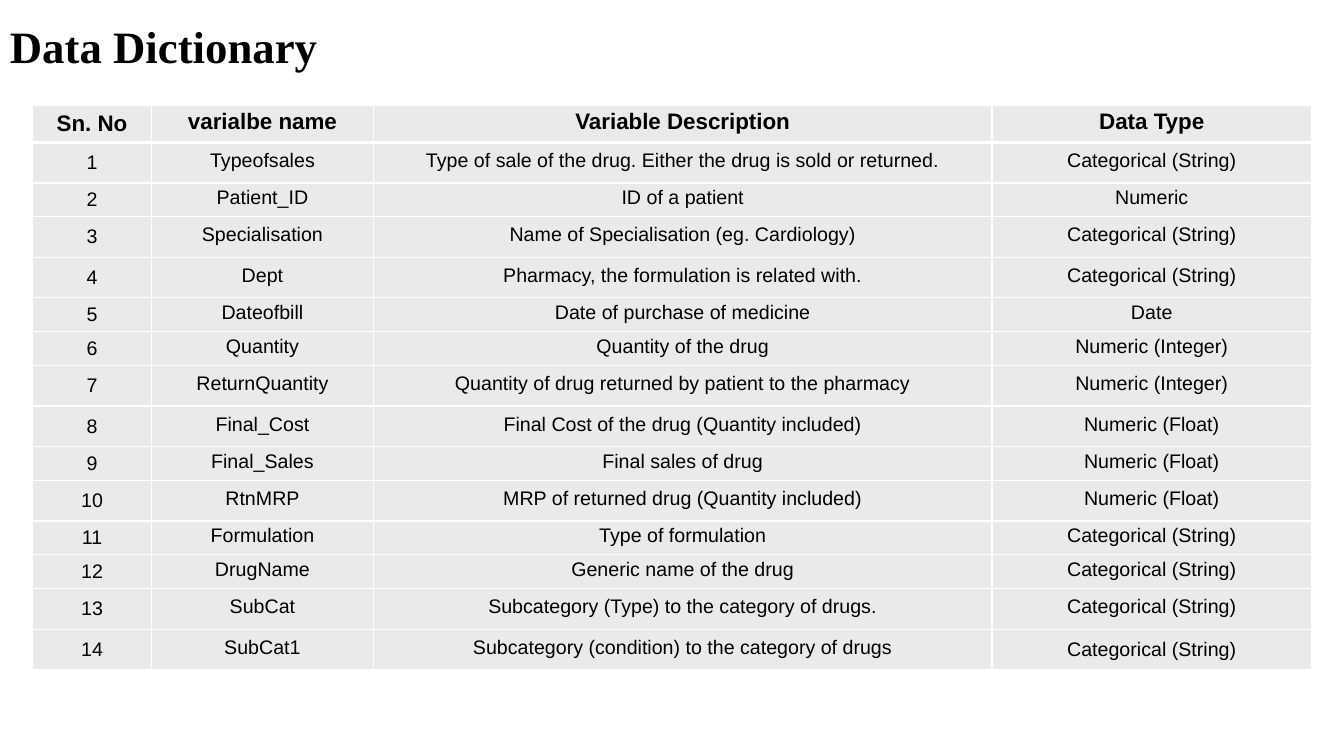
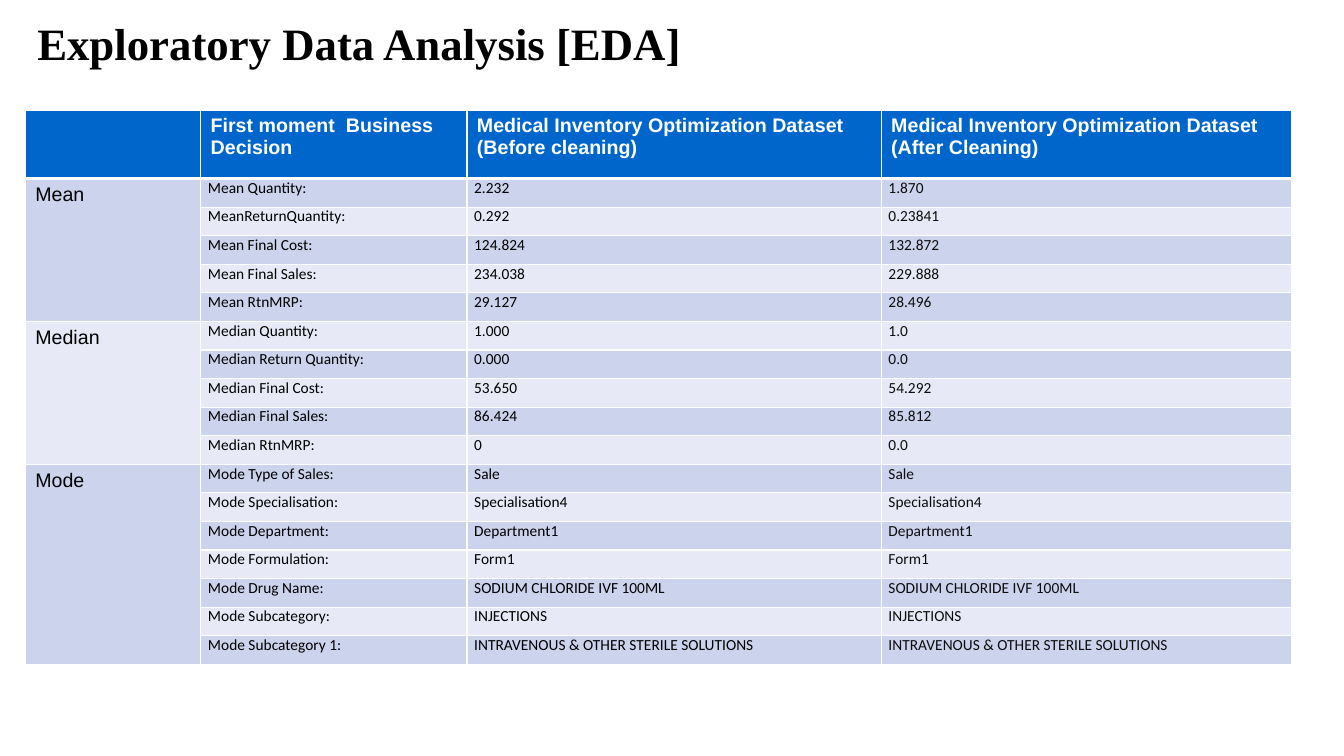
from dataclasses import dataclass, replace

from lxml import etree
from pptx import Presentation
from pptx import util as u
from pptx.dml import color
from pptx.enum import text
from pptx.oxml import ns


@dataclass(frozen=True)
class Theme:
    ink: str = "000000"
    soft_ink: str = "0D0D0D"
    white: str = "FFFFFF"
    grey: str = "EAEAEA"
    blue: str = "0066CC"
    bands: tuple = ("CCD3EC", "E7EAF6")
    title_font: str = "Times New Roman"
    table_font: str = "Arial"
    value_font: str = "Calibri"
    title_size: int = 32
    heading_size: int = 16
    body_size: int = 14
    value_size: int = 11
    thin: int = 1
    thick: int = 3


THEME = Theme()


@dataclass(frozen=True)
class Look:
    fill: str
    ink: str = THEME.ink
    font: str = THEME.table_font
    size: int = THEME.body_size
    bold: bool = False
    align: text.PP_ALIGN = text.PP_ALIGN.LEFT
    anchor: text.MSO_ANCHOR = text.MSO_ANCHOR.TOP
    margins: tuple = (0.25, 0.13, 0.25, 0.13)


DICTIONARY_HEAD = ("Sn. No", "varialbe name", "Variable Description", "Data Type")
TEXT_TYPE = "Categorical (String)"
WHOLE_TYPE = "Numeric (Integer)"
DECIMAL_TYPE = "Numeric (Float)"
SHORT, TALL = 0.84, 1.02
VARIABLES = (
    (TALL, "Typeofsales", "Type of sale of the drug. Either the drug is sold or returned.", TEXT_TYPE),
    (SHORT, "Patient_ID", "ID of a patient", "Numeric"),
    (TALL, "Specialisation", "Name of Specialisation (eg. Cardiology)", TEXT_TYPE),
    (TALL, "Dept", "Pharmacy, the formulation is related with.", TEXT_TYPE),
    (SHORT, "Dateofbill", "Date of purchase of medicine", "Date"),
    (SHORT, "Quantity", "Quantity of the drug", WHOLE_TYPE),
    (TALL, "ReturnQuantity", "Quantity of drug returned by patient to the pharmacy", WHOLE_TYPE),
    (TALL, "Final_Cost", "Final Cost of the drug (Quantity included)", DECIMAL_TYPE),
    (SHORT, "Final_Sales", "Final sales of drug", DECIMAL_TYPE),
    (TALL, "RtnMRP", "MRP of returned drug (Quantity included)", DECIMAL_TYPE),
    (SHORT, "Formulation", "Type of formulation", TEXT_TYPE),
    (SHORT, "DrugName", "Generic name of the drug", TEXT_TYPE),
    (TALL, "SubCat", "Subcategory (Type) to the category of drugs.", TEXT_TYPE),
    (TALL, "SubCat1", "Subcategory (condition) to the category of drugs", TEXT_TYPE),
)

ANALYSIS_HEAD = (
    "",
    "First moment  Business Decision",
    "Medical Inventory Optimization Dataset (Before cleaning)",
    "Medical Inventory Optimization Dataset (After Cleaning)",
)
STATISTICS = {
    "Mean": (
        ("Mean Quantity:", "2.232", "1.870"),
        ("MeanReturnQuantity:", "0.292", "0.23841"),
        ("Mean Final Cost:", "124.824", "132.872"),
        ("Mean Final Sales:", "234.038", "229.888"),
        ("Mean RtnMRP:", "29.127", "28.496"),
    ),
    "Median": (
        ("Median Quantity:", "1.000", "1.0"),
        ("Median Return Quantity:", "0.000", "0.0"),
        ("Median Final Cost:", "53.650", "54.292"),
        ("Median Final Sales:", "86.424", "85.812"),
        ("Median RtnMRP:", "0", "0.0"),
    ),
    "Mode": (
        ("Mode Type of Sales:", "Sale", "Sale"),
        ("Mode Specialisation:", "Specialisation4", "Specialisation4"),
        ("Mode Department:", "Department1", "Department1"),
        ("Mode Formulation:", "Form1", "Form1"),
        ("Mode Drug Name:", "SODIUM CHLORIDE IVF 100ML", "SODIUM CHLORIDE IVF 100ML"),
        ("Mode Subcategory:", "INJECTIONS", "INJECTIONS"),
        ("Mode Subcategory 1:", "INTRAVENOUS & OTHER STERILE SOLUTIONS",
         "INTRAVENOUS & OTHER STERILE SOLUTIONS"),
    ),
}


def add_span(para, words, font, size, ink, bold):
    span = para.add_run()
    span.text = words
    span.font.name = font
    span.font.size = u.Pt(size)
    span.font.bold = bold
    span.font.color.rgb = color.RGBColor.from_string(ink)


def add_title(page, box, words):
    frame = page.shapes.add_textbox(*map(u.Cm, box)).text_frame
    frame.word_wrap = True
    frame.vertical_anchor = text.MSO_ANCHOR.MIDDLE
    para = frame.paragraphs[0]
    para.line_spacing = 0.9
    add_span(para, words, THEME.title_font, THEME.title_size, THEME.ink, True)


def draw_borders(cell, top, bottom):
    props = cell._tc.get_or_add_tcPr()
    widths = {"lnL": THEME.thin, "lnR": THEME.thin, "lnT": top, "lnB": bottom}
    for place, (side, width) in enumerate(widths.items()):
        line = etree.Element(ns.qn(f"a:{side}"), w=str(u.Pt(width)))
        fill = etree.SubElement(line, ns.qn("a:solidFill"))
        etree.SubElement(fill, ns.qn("a:srgbClr"), val=THEME.white)
        props.insert(place, line)


def fill_cell(cell, words, look):
    cell.fill.solid()
    cell.fill.fore_color.rgb = color.RGBColor.from_string(look.fill)
    cell.vertical_anchor = look.anchor
    (cell.margin_left, cell.margin_top,
     cell.margin_right, cell.margin_bottom) = map(u.Cm, look.margins)
    para = cell.text_frame.paragraphs[0]
    para.alignment = look.align
    if words:
        add_span(para, words, look.font, look.size, look.ink, look.bold)


def add_grid(page, left, top, widths, heights, rows):
    box = (left, top, sum(widths), sum(heights))
    grid = page.shapes.add_table(len(heights), len(widths), *map(u.Cm, box)).table
    grid.first_row = grid.horz_banding = False
    for column, width in zip(grid.columns, widths):
        column.width = u.Cm(width)
    for row, height in zip(grid.rows, heights):
        row.height = u.Cm(height)
    for r, row in enumerate(rows):
        for c, (words, look) in enumerate(row):
            cell = grid.cell(r, c)
            fill_cell(cell, words, look)
            draw_borders(cell,
                         THEME.thick if r == 1 else THEME.thin,
                         THEME.thick if r == 0 else THEME.thin)
    return grid


def add_dictionary(page, left, top):
    number = Look(THEME.grey, align=text.PP_ALIGN.CENTER, anchor=text.MSO_ANCHOR.MIDDLE)
    entry = replace(number, margins=(0.03, 0.03, 0.03, 0.13))
    body = (number, entry, entry, entry)
    head = [replace(look, size=THEME.heading_size, bold=True) for look in body]
    rows = [list(zip(DICTIONARY_HEAD, head))]
    for index, (_, *words) in enumerate(VARIABLES, 1):
        rows.append(list(zip((str(index), *words), body)))
    words, _ = rows[-1][-1]
    rows[-1][-1] = (words, number)
    heights = [0.94] + [variable[0] for variable in VARIABLES]
    add_grid(page, left, top, (3, 5.59, 15.59, 8.05), heights, rows)


def add_analysis(page, left, top):
    head = Look(THEME.blue, ink=THEME.white, bold=True)
    rows = [[(words, head) for words in ANALYSIS_HEAD]]
    groups = []
    for name, entries in STATISTICS.items():
        groups.append((len(rows), len(entries)))
        for index, words in enumerate(entries):
            label = Look(THEME.bands[(len(rows) - 1) % 2])
            value = replace(label, font=THEME.value_font, size=THEME.value_size,
                            margins=(0.18, 0, 0.18, 0))
            after = replace(value, ink=THEME.soft_ink)
            names = ("" if index else name, *words)
            rows.append(list(zip(names, (label, value, value, after))))
    heights = [1.73] + [0.72] * (len(rows) - 1)
    grid = add_grid(page, left, top, (4.42, 6.71, 10.44, 10.34), heights, rows)
    for first, count in groups:
        grid.cell(first, 0).merge(grid.cell(first + count - 1, 0))


def main():
    deck = Presentation()
    deck.slide_width, deck.slide_height = u.Cm(33.87), u.Cm(19.05)
    blank = deck.slide_layouts[6]

    page = deck.slides.add_slide(blank)
    add_title(page, (0, 0.48, 29.21, 1.5), "Data Dictionary")
    add_dictionary(page, 0.82, 2.65)

    page = deck.slides.add_slide(blank)
    add_analysis(page, 0.64, 2.77)
    add_title(page, (0.69, 0.41, 25.68, 1.5), "Exploratory Data Analysis [EDA]")

    deck.save("out.pptx")


if __name__ == "__main__":
    main()
